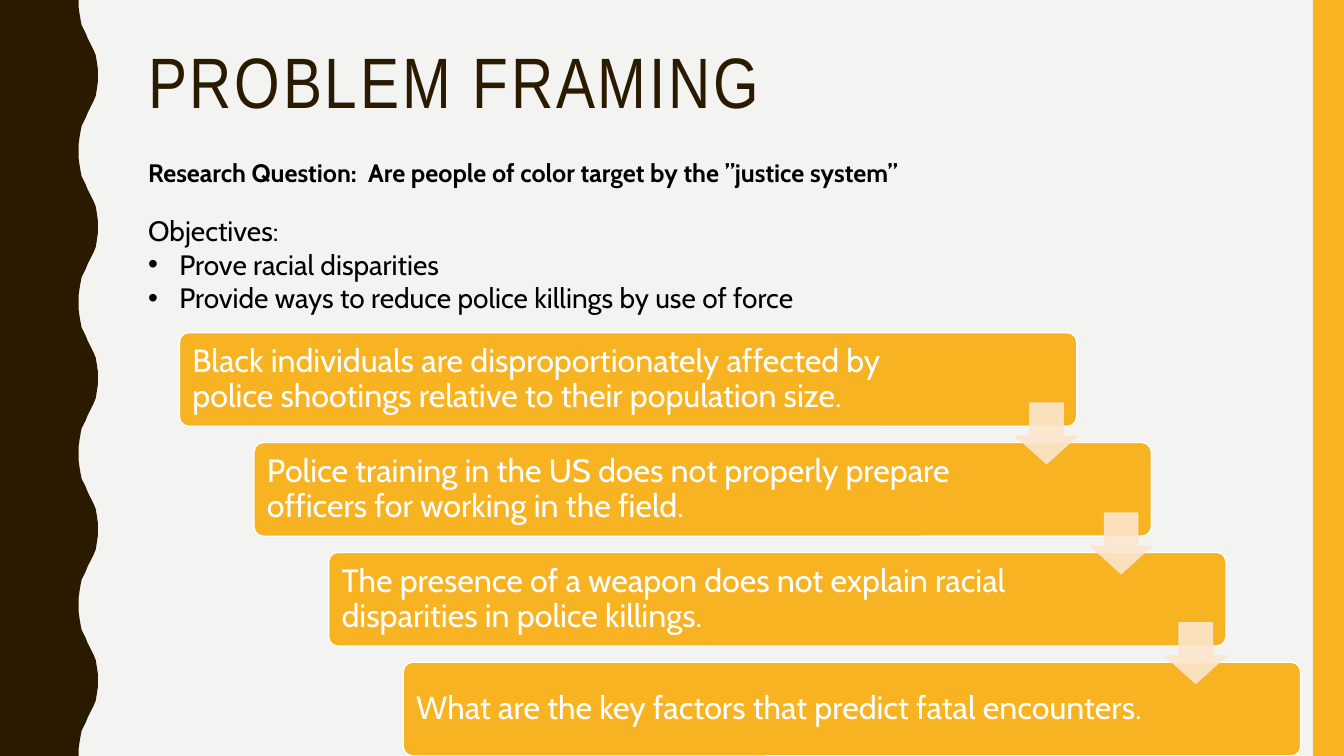
from pptx import Presentation
from pptx.dml.color import RGBColor
from pptx.enum.shapes import MSO_SHAPE as Shape
from pptx.enum.text import MSO_ANCHOR as Anchor, MSO_AUTO_SIZE as AutoSize
from pptx.oxml.ns import qn
from pptx.util import Inches, Pt
from lxml import etree

BROWN, GOLD, PEACH = "2A1A00", "F8B323", "FCE5CD"
WHITE, BLACK, PAPER = "FFFFFF", "000000", "F3F3F2"
HALF_WAVE = [(0.78, 0), (0.78, 0.07), (0.79, 0.14), (0.8, 0.2), (0.81, 0.25),
             (0.83, 0.29), (0.85, 0.33), (0.87, 0.38), (0.89, 0.42),
             (0.91, 0.46), (0.93, 0.5), (0.95, 0.55), (0.96, 0.61),
             (0.97, 0.68), (0.97, 0.75)]
WAVE_PERIOD, WAVE_COUNT = 1.5, 5
STEP_X, STEP_Y = 0.74, 1.09
FINDINGS = [
    ("Black individuals are disproportionately affected by police shootings "
     "relative to their population size.", 7.83),
    ("Police training in the US does not properly prepare officers for "
     "working in the field.", 7.5),
    ("The presence of a weapon does not explain racial disparities in "
     "police killings.", 7.5),
    ("What are the key factors that predict fatal encounters.", 7.5),
]


def paint(fmt, color, alpha=None):
    """Give a fill a solid colour, with an optional opacity in percent."""
    fmt.solid()
    fmt.fore_color.rgb = RGBColor.from_string(color)
    if alpha is not None:
        clr = fmt._xPr.find(qn("a:solidFill"))[0]
        etree.SubElement(clr, qn("a:alpha"), val=str(alpha * 1000))


def style(s, fill, line=None, alpha=None):
    """Set the fill and outline of a shape and drop its shadow."""
    s.shadow.inherit = False
    paint(s.fill, fill, alpha)
    if line:
        paint(s.line.fill, line, alpha)
        s.line.width = Pt(1)
    else:
        s.line.fill.background()


def add_box(slide, kind, x, y, w, h, fill, line=None, alpha=None, adj=()):
    """Add a preset shape."""
    s = slide.shapes.add_shape(kind, Inches(x), Inches(y), Inches(w), Inches(h))
    for i, value in enumerate(adj):
        s.adjustments[i] = value
    style(s, fill, line, alpha)


def add_bullet(p, indent):
    """Turn a paragraph into a bullet point with a hanging indent."""
    pPr = p._p.get_or_add_pPr()
    pPr.set("marL", str(Inches(indent)))
    pPr.set("indent", str(-Inches(indent)))
    etree.SubElement(pPr, qn("a:buFont"), typeface="Arial")
    etree.SubElement(pPr, qn("a:buChar"), char="•")


def add_text(slide, text, x, y, w, h, size=20, font="Cabin", color=BLACK,
             bold=False, spacing=None, tracking=None, anchor=Anchor.TOP,
             inset=None, wrap=True, grow=False, bullets=()):
    """Add a text box with one lead paragraph and optional bullets."""
    sp = slide.shapes.add_textbox(Inches(x), Inches(y), Inches(w), Inches(h))
    tf = sp.text_frame
    tf.word_wrap = wrap
    tf.vertical_anchor = anchor
    tf.auto_size = AutoSize.SHAPE_TO_FIT_TEXT if grow else AutoSize.NONE
    if inset is not None:
        tf.margin_left = tf.margin_right = Inches(inset)
        tf.margin_top = tf.margin_bottom = Inches(inset)
    for i, line in enumerate([text, *bullets]):
        p = tf.add_paragraph() if i else tf.paragraphs[0]
        if spacing:
            p.line_spacing = spacing
        if i:
            add_bullet(p, 0.31)
        r = p.add_run()
        r.text = line
        r.font.size, r.font.name, r.font.bold = Pt(size), font, bold
        r.font.color.rgb = RGBColor.from_string(color)
        if tracking:
            r._r.get_or_add_rPr().set("spc", str(tracking * 100))


def add_wave(slide):
    """Draw the wavy band along the left edge."""
    mirrored = [(x, WAVE_PERIOD - y) for x, y in HALF_WAVE[-2::-1]]
    edge = [(x, y + n * WAVE_PERIOD) for n in range(WAVE_COUNT)
            for x, y in HALF_WAVE + mirrored]
    fb = slide.shapes.build_freeform(0, 0)
    fb.add_line_segments([(Inches(x), Inches(y)) for x, y in edge + [(0, 7.5)]])
    style(fb.convert_to_shape(), BROWN)


def add_staircase(slide):
    """Draw the findings as descending steps joined by arrows."""
    for i, (finding, width) in enumerate(FINDINGS):
        x, y = 1.78 + i * STEP_X, 3.3 + i * STEP_Y
        add_box(slide, Shape.ROUNDED_RECTANGLE, x, y, 8.9, 0.93, GOLD, WHITE,
                adj=[0.1])
        add_text(slide, finding, x + 0.03, y + 0.03, width, 0.87, size=23,
                 color=WHITE, spacing=0.9, anchor=Anchor.MIDDLE, inset=0.1)
    for i in range(len(FINDINGS) - 1):
        add_box(slide, Shape.DOWN_ARROW, 10.08 + i * STEP_X, 4 + i * STEP_Y,
                0.6, 0.6, PEACH, PEACH, alpha=90, adj=[0.55, 0.45])


def main():
    """Build the slide and save it."""
    prs = Presentation()
    prs.slide_width, prs.slide_height = Inches(13.33), Inches(7.5)
    slide = prs.slides.add_slide(prs.slide_layouts[6])
    paint(slide.background.fill, PAPER)
    add_wave(slide)
    add_box(slide, Shape.RECTANGLE, 13.02, 0, 0.31, 7.5, GOLD)
    add_text(slide, "PROBLEM FRAMING", 1.37, 0.42, 11.13, 1.63, size=51,
             font="Arial Narrow", color=BROWN, spacing=0.9, tracking=2)
    add_staircase(slide)
    add_text(slide, "Research Question:  Are people of color target by the "
             "”justice system”", 1.37, 1.51, 8.43, 0.4, size=18, bold=True,
             wrap=False, grow=True)
    add_text(slide, "Objectives:", 1.37, 2.07, 8.31, 1.11, grow=True,
             bullets=["Prove racial disparities",
                      "Provide ways to reduce police killings by use of force"])
    prs.save("out.pptx")


if __name__ == "__main__":
    main()
